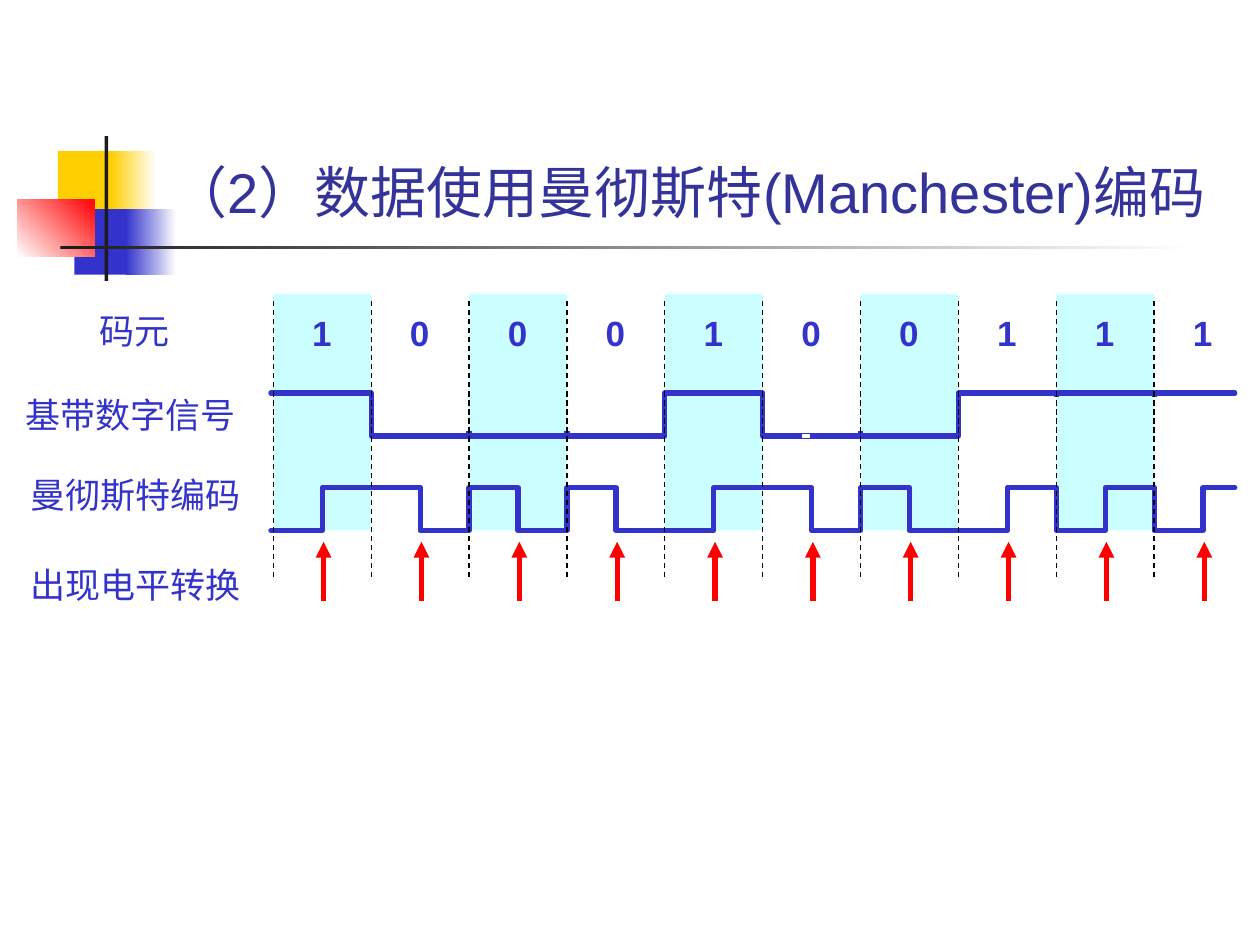
from lxml import etree
from pptx import Presentation
from pptx.dml.color import RGBColor
from pptx.enum import dml, shapes, text
from pptx.oxml import ns
from pptx.util import Inches, Pt

BITS = "1000100111"
BLUE, RED, BLACK, WHITE = "3333CC", "FF0000", "000000", "FFFFFF"
FIRST, LAST = 2.17, 9.16          # first and last bit boundary
PITCH = (LAST - FIRST) / (len(BITS) - 1)
WAVE_START, WAVE_END = 2.15, 9.8


def rgb(value):
    return RGBColor.from_string(value)


def sub(parent, tag, **attrs):
    return etree.SubElement(parent, ns.qn(tag), attrs)


def edge(i):
    """Left boundary of bit i; i + 0.5 gives its middle."""
    return FIRST + i * PITCH


def style_text(p, size, color, bold=False):
    for r in p.runs:
        r.font.name = "Arial"
        r.font.size = Pt(size)
        r.font.bold = bold
        r.font.color.rgb = rgb(color)


def add_rect(s, x, y, w, h, color, to=None, angle=0):
    sp = s.shapes.add_shape(shapes.MSO_SHAPE.RECTANGLE,
                            Inches(x), Inches(y), Inches(w), Inches(h))
    sp.shadow.inherit = False
    sp.line.fill.background()
    if to:
        sp.fill.gradient()
        sp.fill.gradient_angle = angle
        for stop, (pos, c) in zip(sp.fill.gradient_stops, ((0, color), (1, to))):
            stop.position = pos
            stop.color.rgb = rgb(c)
    else:
        sp.fill.solid()
        sp.fill.fore_color.rgb = rgb(color)
    return sp


def add_text(s, x, y, w, content, bold=False, align=text.PP_ALIGN.LEFT):
    tf = s.shapes.add_textbox(Inches(x), Inches(y), Inches(w), Inches(0.43)).text_frame
    tf.word_wrap = True
    tf.text = content
    p = tf.paragraphs[0]
    p.alignment = align
    style_text(p, 20, BLUE, bold)


def add_line(s, x, y1, y2, color, width, dashed=False, arrow=False):
    """Vertical line from y1 to y2."""
    c = s.shapes.add_connector(shapes.MSO_CONNECTOR.STRAIGHT,
                               Inches(x), Inches(y1), Inches(x), Inches(y2))
    c.line.color.rgb = rgb(color)
    c.line.width = Pt(width)
    if dashed:
        c.line.dash_style = dml.MSO_LINE.DASH
    if arrow:
        sub(c.line._get_or_add_ln(), "a:tailEnd", type="triangle")
    sub(c._element.spPr, "a:effectLst")


def add_wave(s, levels, step, high, low):
    """Square wave holding each level for a number of bits given by step."""
    ys = [high if level else low for level in levels]
    points = [(WAVE_START, ys[0])]
    for i in range(1, len(ys)):
        x = edge(i * step)
        if ys[i] != ys[i - 1] and x < WAVE_END:
            points += [(x, ys[i - 1]), (x, ys[i])]
    points.append((WAVE_END, ys[-1]))
    points = [(Inches(x), Inches(y)) for x, y in points]
    builder = s.shapes.build_freeform(*points[0])
    builder.add_line_segments(points[1:], close=False)
    sp = builder.convert_to_shape()
    sp.shadow.inherit = False
    sp.fill.background()
    sp.line.color.rgb = rgb(BLUE)
    sp.line.width = Pt(3)
    ln = sp.line._get_or_add_ln()
    ln.set("cap", "rnd")
    sub(ln, "a:round")


def add_decoration(s):
    add_rect(s, 0.46, 1.2, 0.48, 0.52, "FFCF01")
    add_rect(s, 0.88, 1.2, 0.36, 0.52, "FFCF01", WHITE)
    add_rect(s, 0.59, 1.66, 0.46, 0.52, BLUE)
    add_rect(s, 1, 1.66, 0.4, 0.52, BLUE, WHITE)
    add_rect(s, 0.14, 1.58, 0.61, 0.46, WHITE, RED, angle=45)
    add_rect(s, 0.83, 1.08, 0.03, 1.15, "1C1C1C")
    add_rect(s, 0.48, 1.95, 9, 0.03, "1C1C1C", WHITE)


def add_title(s):
    title = s.shapes.title
    s.shapes._spTree.append(title._element)   # in front of the decoration
    title.left, title.top = Inches(1.26), Inches(0.23)
    title.width, title.height = Inches(8.52), Inches(1.6)
    tf = title.text_frame
    tf.text = "（2）数据使用曼彻斯特(Manchester)编码"
    tf.word_wrap = True
    tf.auto_size = text.MSO_AUTO_SIZE.NONE
    tf.vertical_anchor = text.MSO_ANCHOR.BOTTOM
    p = tf.paragraphs[0]
    p.alignment = text.PP_ALIGN.LEFT
    style_text(p, 32, "333399")


def add_diagram(s):
    # Row labels
    for x, y, label in ((0.69, 2.41, "码元"), (0.1, 3.07, "基带数字信号"),
                        (0.14, 3.71, "曼彻斯特编码"), (0.14, 4.42, "出现电平转换")):
        add_text(s, x, y, 1.95, label)

    # Shaded bit columns, then the bits
    for i in range(0, len(BITS), 2):
        add_rect(s, edge(i), 2.33, PITCH, 1.88, "CCFFFF")
    for i, bit in enumerate(BITS):
        add_text(s, edge(i + 0.5) - 0.18, 2.42, 0.35, bit, True, text.PP_ALIGN.CENTER)

    # Baseband signal, with ticks where the level holds
    levels = [int(bit) for bit in BITS]
    add_wave(s, levels, 1, 3.12, 3.46)
    for i in range(2, len(BITS)):
        if levels[i] == levels[i - 1]:
            y = 3.11 if levels[i] else 3.42
            add_line(s, edge(i), y, y + 0.04, BLUE, 3)

    # Manchester signal: 1 is low-high, 0 is high-low
    halves = [half for level in levels for half in (1 - level, level)]
    add_wave(s, halves, 0.5, 3.87, 4.21)
    gap = add_rect(s, 6.37, 3.45, 0.05, 0.02, WHITE)
    gap.line.color.rgb = rgb(WHITE)
    gap.line.width = Pt(0.75)

    # Bit boundaries and mid-bit transitions
    for i in range(len(BITS)):
        add_line(s, edge(i), 4.58, 2.38, BLACK, 0.75, dashed=True)
    for i in range(len(BITS)):
        add_line(s, edge(i + 0.5) + 0.01, 4.77, 4.3, RED, 3, arrow=True)


def main():
    prs = Presentation()
    prs.slide_width, prs.slide_height = Inches(10), Inches(7.5)
    s = prs.slides.add_slide(prs.slide_layouts[5])
    add_decoration(s)
    add_title(s)
    add_diagram(s)
    prs.save("out.pptx")


if __name__ == "__main__":
    main()
